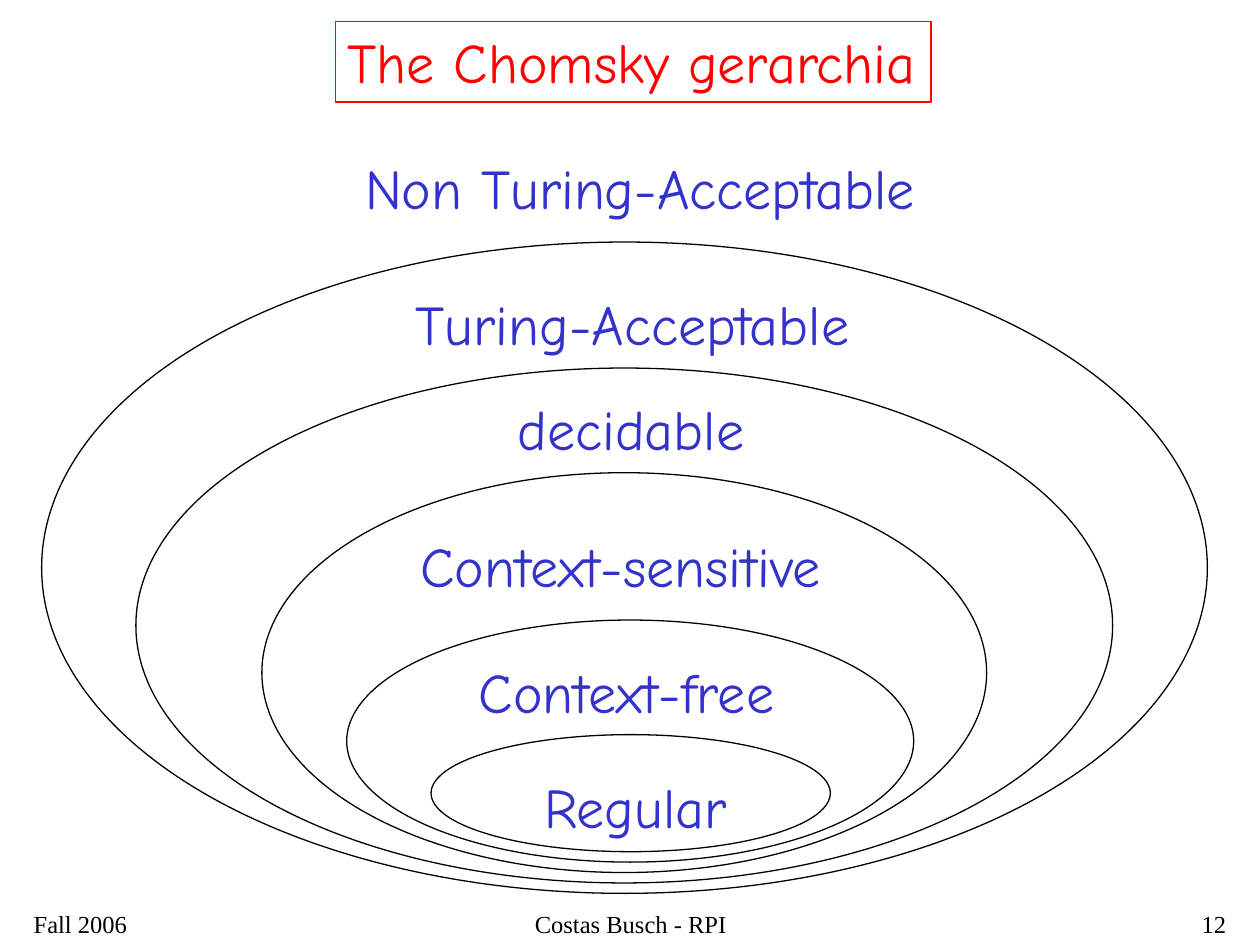
from pptx import Presentation
from pptx import util as u
from pptx.dml.color import RGBColor
from pptx.enum import shapes, text

BLACK = RGBColor(0x00, 0x00, 0x00)
BLUE = RGBColor(0x33, 0x33, 0xCC)
RED = RGBColor(0xFF, 0x00, 0x00)
LEFT, CENTER, RIGHT = text.PP_ALIGN.LEFT, text.PP_ALIGN.CENTER, text.PP_ALIGN.RIGHT

# Content, lengths in cm
TITLE = ("The Chomsky gerarchia", 6.76, 0.43, 12.01)
LABELS = [  # wording, left, top, width
    ("Non Turing-Acceptable", 7.11, 2.97, 11.63),
    ("Turing-Acceptable", 8.13, 5.72, 9.3),
    ("decidable", 10.19, 7.82, 5.08),
    ("Context-sensitive", 8.23, 10.59, 8.64),
    ("Context-free", 9.4, 13.13, 6.53),
    ("Regular", 10.72, 15.44, 4.19),
]
CLASSES = [  # left, top, width of each nested ellipse, outermost first
    (0.84, 4.88, 23.5),
    (2.74, 7.42, 19.69),
    (5.28, 9.53, 14.61),
    (6.99, 12.5, 11.43),
    (8.69, 14.81, 8.05),
]
OUTER_BOTTOM, BOTTOM_STEP = 18.01, 0.21
LABEL_HEIGHT = 1.63
FOOTERS = [  # wording, left, width, alignment
    ("Fall 2006", 0.43, 5.28, LEFT),
    ("Costas Busch - RPI", 8.69, 8.05, CENTER),
    ("12", 19.69, 5.28, RIGHT),
]
FOOTER_TOP, FOOTER_HEIGHT = 18.21, 0.84

deck = Presentation()
deck.slide_width, deck.slide_height = u.Cm(25.4), u.Cm(19.05)
page = deck.slides.add_slide(deck.slide_layouts[6])


def add_outline(kind, left, top, width, height, color):
    shape = page.shapes.add_shape(kind, *map(u.Cm, (left, top, width, height)))
    shape.shadow.inherit = False
    shape.fill.background()
    shape.line.color.rgb = color
    shape.line.width = u.Pt(0.75)
    return shape


def add_box(left, top, width, height):
    return page.shapes.add_textbox(*map(u.Cm, (left, top, width, height)))


def write(box, wording, font, size, color, align=LEFT, wrap=True, before=0):
    frame = box.text_frame
    frame.word_wrap = wrap
    frame.vertical_anchor = text.MSO_ANCHOR.TOP
    if not wrap:
        frame.auto_size = text.MSO_AUTO_SIZE.SHAPE_TO_FIT_TEXT
    para = frame.paragraphs[0]
    para.alignment = align
    para.space_before = u.Pt(before)
    span = para.add_run()
    span.text = wording
    span.font.name = font
    span.font.size = u.Pt(size)
    span.font.color.rgb = color


def write_heading(box, wording, color):
    write(box, wording, "Comic Neue", 32, color, wrap=False, before=8)


# Nested language classes, bottoms rising by an equal step
for level, (left, top, width) in enumerate(CLASSES):
    bottom = OUTER_BOTTOM - level * BOTTOM_STEP
    add_outline(shapes.MSO_SHAPE.OVAL, left, top, width, bottom - top, BLACK)

# Class names
for wording, left, top, width in LABELS:
    write_heading(add_box(left, top, width, LABEL_HEIGHT), wording, BLUE)

# Framed title
wording, left, top, width = TITLE
frame_box = add_outline(shapes.MSO_SHAPE.RECTANGLE, left, top, width, LABEL_HEIGHT, RED)
write_heading(frame_box, wording, RED)

# Footer
for wording, left, width, align in FOOTERS:
    box = add_box(left, FOOTER_TOP, width, FOOTER_HEIGHT)
    write(box, wording, "Times New Roman", 14, BLACK, align)

deck.save("out.pptx")
